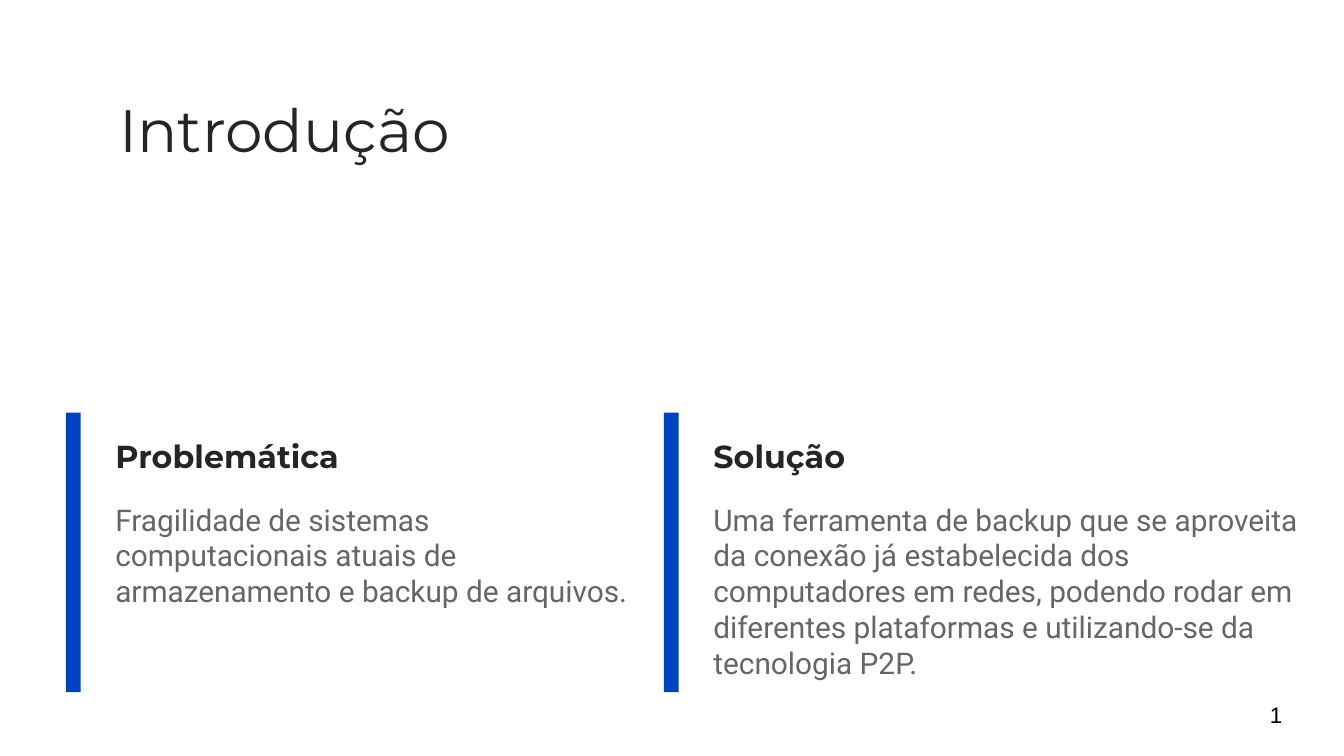
import pptx
import pptx.dml.color
import pptx.enum.shapes
import pptx.enum.text
import pptx.util

Inches = pptx.util.Inches
ANCHOR = pptx.enum.text.MSO_ANCHOR
INK, GREY, BLUE, BLACK = "252525", "666666", "0043C1", "000000"


def rgb(value):
    return pptx.dml.color.RGBColor.from_string(value)


def add_text(text, box, font, size, color, anchor=ANCHOR.TOP, bold=False, top=0.1):
    """Add a one-paragraph text box; top is its upper inset in inches."""
    tf = s.shapes.add_textbox(*map(Inches, box)).text_frame
    tf.word_wrap = True
    tf.vertical_anchor = anchor
    tf.margin_left = tf.margin_right = tf.margin_bottom = Inches(0.1)
    tf.margin_top = Inches(top)
    p = tf.paragraphs[0]
    p.text = text
    p.font.name = font
    p.font.size = pptx.util.Pt(size)
    p.font.bold = bold
    p.font.color.rgb = rgb(color)


prs = pptx.Presentation()
prs.slide_width = Inches(10)
prs.slide_height = prs.slide_width * 9 // 16
s = prs.slides.add_slide(prs.slide_layouts[6])

add_text("Introdução", (0.79, 0.13, 3.86, 2.37), "Montserrat", 32, INK, top=0.68)
add_text("1", (9.35, 5.1, 0.6, 0.43), "Arial", 12, BLACK, ANCHOR.MIDDLE)

# Two columns: a bar, then a heading that sits on top of its body text
left, pitch, indent = 0.49, 4.45, 0.27
heading_top, heading_height = 2.43, 1.2
columns = [
    ("Problemática", 4.1,
     "Fragilidade de sistemas computacionais atuais de armazenamento "
     "e backup de arquivos."),
    ("Solução", 4.75,
     "Uma ferramenta de backup que se aproveita da conexão já estabelecida "
     "dos computadores em redes, podendo rodar em diferentes plataformas "
     "e utilizando-se da tecnologia P2P."),
]
for i, (heading, body_width, body) in enumerate(columns):
    x = left + i * pitch
    add_text(body, (x + indent, heading_top + heading_height, body_width, 1.2),
             "Roboto", 16, GREY)
    add_text(heading, (x + indent, heading_top, 3.72, heading_height),
             "Montserrat", 17, INK, ANCHOR.BOTTOM, bold=True)
    bar = s.shapes.add_shape(pptx.enum.shapes.MSO_SHAPE.RECTANGLE,
                             *map(Inches, (x, 3.07, 0.11, 2.08)))
    bar.shadow.inherit = False
    bar.fill.solid()
    bar.fill.fore_color.rgb = rgb(BLUE)
    bar.line.fill.background()

prs.save("out.pptx")
